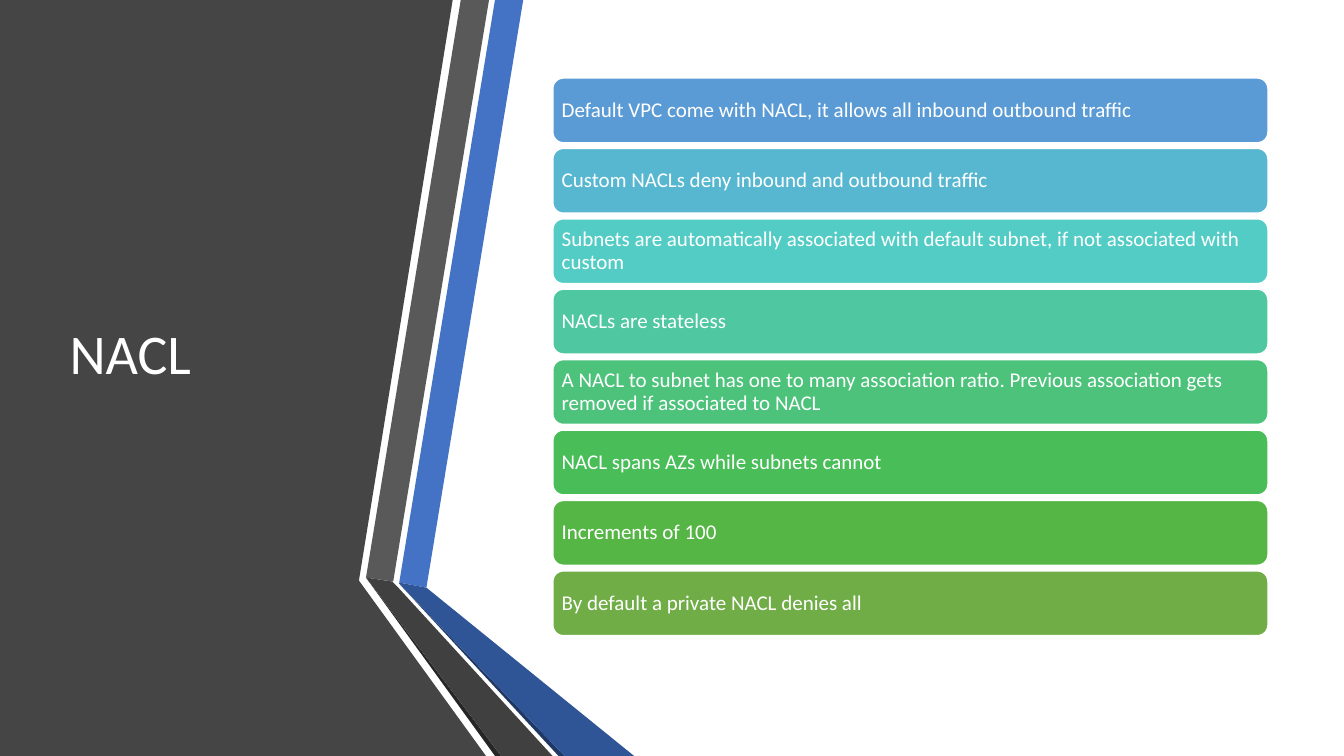
from dataclasses import dataclass

from pptx import Presentation
from pptx.dml.color import RGBColor
from pptx.enum.shapes import MSO_SHAPE
from pptx.enum.text import MSO_ANCHOR, PP_ALIGN
from pptx.util import Inches, Pt

FONT = "Calibri"
WHITE = "FFFFFF"


@dataclass
class Band:
    color: str
    points: list[tuple[float, float]]


@dataclass
class Fact:
    color: str
    text: str


BANDS = [
    # Dark title panel
    Band("454545", [(0, 0), (4.49, 0), (3.56, 5.76), (4.82, 7.5), (0, 7.5)]),
    # Upper ribbons
    Band("4472C4", [(3.96, 5.78), (4.23, 5.83), (5.19, 0), (4.91, 0)]),
    Band("595959", [(4.85, 0), (4.57, 0), (3.63, 5.73), (3.9, 5.77)]),
    # Shaded edges of the lower ribbons
    Band("262626", [(3.63, 5.73), (4.91, 7.5), (4.97, 7.5)]),
    Band("203864", [(3.96, 5.79), (5.54, 7.5), (5.6, 7.5)]),
    # Lower ribbons
    Band("2F5597", [(3.96, 5.79), (5.6, 7.5), (6.29, 7.5), (4.23, 5.83), (3.96, 5.78)]),
    Band("404040", [(5.48, 7.5), (3.95, 5.83), (3.89, 5.77), (3.63, 5.73), (4.97, 7.5)]),
]

FACTS = [
    Fact("5B9BD5", "Default VPC come with NACL, it allows all inbound outbound traffic"),
    Fact("57B7D1", "Custom NACLs deny inbound and outbound traffic"),
    Fact("53CCC5", "Subnets are automatically associated with default subnet, "
                   "if not associated with custom"),
    Fact("4FC7A0", "NACLs are stateless"),
    Fact("4CC27B", "A NACL to subnet has one to many association ratio. "
                   "Previous association gets removed if associated to NACL"),
    Fact("48BD58", "NACL spans AZs while subnets cannot"),
    Fact("55B646", "Increments of 100"),
    Fact("70AD47", "By default a private NACL denies all"),
]
FACT_LEFT, FACT_TOP, FACT_WIDTH, FACT_HEIGHT = 5.48, 0.77, 7.1, 0.65
LAST_FACT_TOP = 5.66
FACT_PITCH = (LAST_FACT_TOP - FACT_TOP) / (len(FACTS) - 1)


def rgb(color: str) -> RGBColor:
    return RGBColor.from_string(color)


def write_text(sp, text: str, size: float) -> None:
    tf = sp.text_frame
    tf.word_wrap = True
    tf.vertical_anchor = MSO_ANCHOR.MIDDLE
    p = tf.paragraphs[0]
    p.text = text
    p.alignment = PP_ALIGN.LEFT
    p.line_spacing = 0.9
    p.font.name = FONT
    p.font.size = Pt(size)
    p.font.color.rgb = rgb(WHITE)


def draw_band(s, band: Band) -> None:
    start, *rest = [(Inches(x), Inches(y)) for x, y in band.points]
    builder = s.shapes.build_freeform(*start)
    builder.add_line_segments(rest, close=True)
    sp = builder.convert_to_shape()
    sp.shadow.inherit = False
    sp.fill.solid()
    sp.fill.fore_color.rgb = rgb(band.color)
    sp.line.fill.background()


def draw_title(s, text: str) -> None:
    sp = s.shapes.title
    sp.left, sp.top = Inches(0.59), Inches(0.75)
    sp.width, sp.height = Inches(3.04), Inches(5.58)
    write_text(sp, text, 40)
    # Raise the title above the dark panel
    s.shapes._spTree.append(sp._element)


def draw_fact(s, fact: Fact, top: float) -> None:
    sp = s.shapes.add_shape(MSO_SHAPE.ROUNDED_RECTANGLE, Inches(FACT_LEFT), Inches(top),
                            Inches(FACT_WIDTH), Inches(FACT_HEIGHT))
    sp.shadow.inherit = False
    sp.fill.solid()
    sp.fill.fore_color.rgb = rgb(fact.color)
    sp.line.color.rgb = rgb(WHITE)
    sp.line.width = Pt(1.5)
    write_text(sp, fact.text, 15)
    tf = sp.text_frame
    tf.margin_left = tf.margin_right = Inches(0.06)
    tf.margin_top = tf.margin_bottom = Inches(0.06)


def main() -> None:
    prs = Presentation()
    prs.slide_width, prs.slide_height = Inches(13.33), Inches(7.5)
    s = prs.slides.add_slide(prs.slide_layouts[5])
    s.background.fill.solid()
    s.background.fill.fore_color.rgb = rgb(WHITE)

    for band in BANDS:
        draw_band(s, band)
    draw_title(s, "NACL")
    for i, fact in enumerate(FACTS):
        draw_fact(s, fact, FACT_TOP + i * FACT_PITCH)

    prs.save("out.pptx")


if __name__ == "__main__":
    main()
